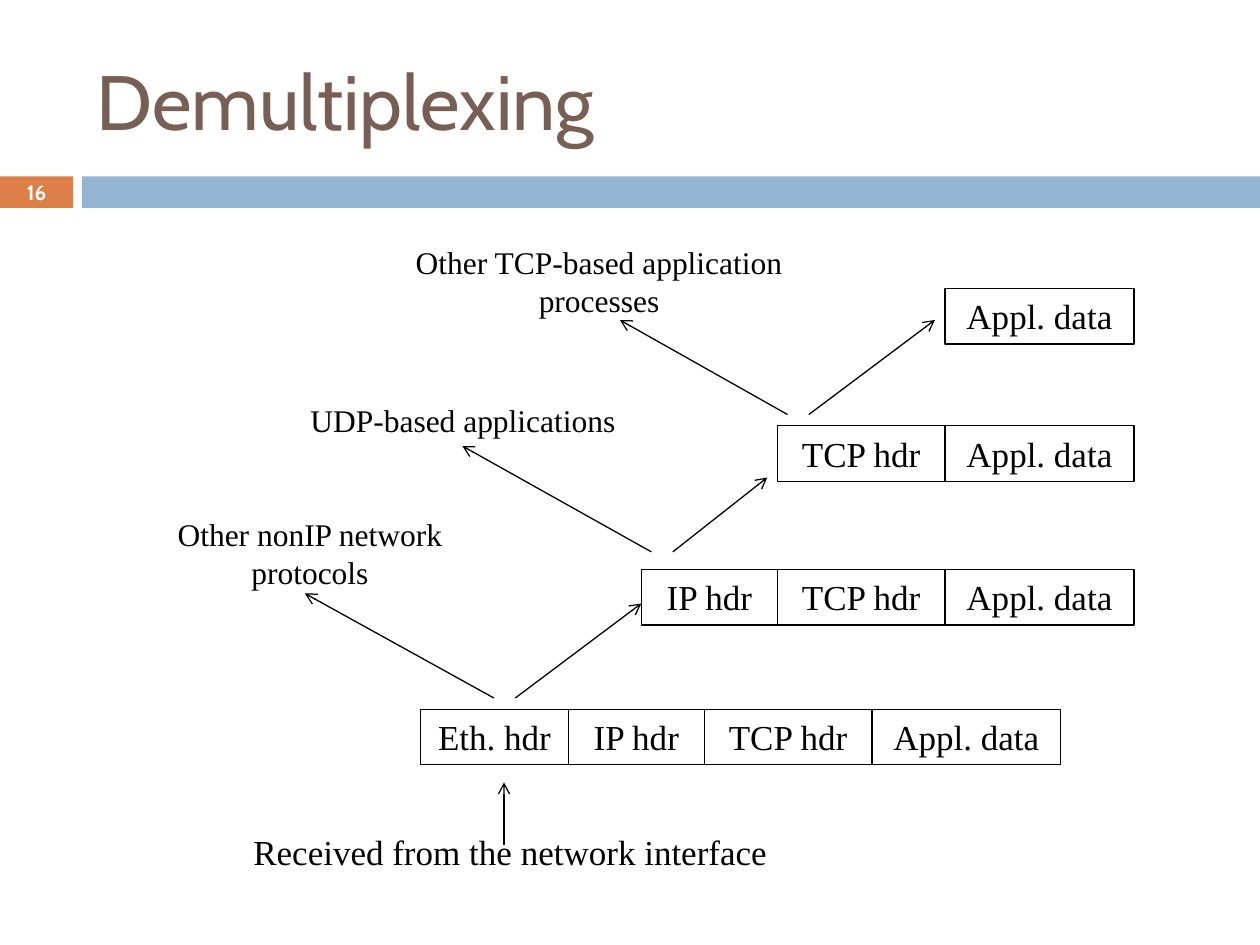
from dataclasses import dataclass

from lxml import etree
from pptx import Presentation
from pptx import util as u
from pptx.dml.color import RGBColor
from pptx.enum import shapes, text
from pptx.oxml import ns


@dataclass(frozen=True)
class Theme:
    ink: str = "000000"
    heading: str = "775F55"
    accent: str = "DD8047"
    band: str = "94B6D2"
    light: str = "FFFFFF"
    heading_font: str = "Cabin"
    body_font: str = "Times New Roman"
    title_size: float = 44
    header_size: float = 20
    label_size: float = 18
    number_size: float = 11.9
    line_width: float = 0.75


def apply(target, values):
    for name, value in values.items():
        setattr(target, name, value)


class SlideBuilder:
    def __init__(self, slide, theme):
        self.slide = slide
        self.theme = theme

    def set_text(self, shape, words, size, font=None, color=None, bold=False,
                 align=text.PP_ALIGN.CENTER, anchor=text.MSO_ANCHOR.TOP):
        frame = shape.text_frame
        apply(frame, {"word_wrap": True, "vertical_anchor": anchor})
        paragraph = frame.paragraphs[0]
        paragraph.alignment = align
        run = paragraph.add_run()
        run.text = words
        apply(run.font, {"size": u.Pt(size), "bold": bold,
                         "name": font or self.theme.body_font})
        run.font.color.rgb = RGBColor.from_string(color or self.theme.ink)

    def label(self, words, box, size, **style):
        caption = self.slide.shapes.add_textbox(*map(u.Inches, box))
        self.set_text(caption, words, size, **style)

    def rectangle(self, box):
        shape = self.slide.shapes.add_shape(
            shapes.MSO_SHAPE.RECTANGLE, *map(u.Inches, box))
        shape.shadow.inherit = False
        return shape

    def bar(self, box, color):
        strip = self.rectangle(box)
        strip.fill.solid()
        strip.fill.fore_color.rgb = RGBColor.from_string(color)
        strip.line.fill.background()

    def outline(self, line):
        line.color.rgb = RGBColor.from_string(self.theme.ink)
        line.width = u.Pt(self.theme.line_width)

    def packet(self, right, top, fields, widths, height=0.44):
        for field in reversed(fields):
            right -= widths[field]
            cell = self.rectangle((right, top, widths[field], height))
            cell.fill.background()
            self.outline(cell.line)
            self.set_text(cell, field, self.theme.header_size)

    def arrow(self, start, end):
        connector = self.slide.shapes.add_connector(
            shapes.MSO_CONNECTOR.STRAIGHT, *map(u.Inches, (*start, *end)))
        self.outline(connector.line)
        properties = connector._element.spPr
        tip = etree.SubElement(properties.find(ns.qn("a:ln")), ns.qn("a:tailEnd"))
        tip.set("type", "arrow")
        etree.SubElement(properties, ns.qn("a:effectLst"))


def main():
    deck = Presentation()
    apply(deck, {"slide_width": u.Inches(10), "slide_height": u.Inches(7.5)})
    theme = Theme()
    page = SlideBuilder(deck.slides.add_slide(deck.slide_layouts[6]), theme)

    page.bar((0, 1.4, 0.58, 0.25), theme.accent)
    page.bar((0.65, 1.4, 9.35, 0.25), theme.band)
    heading = {"font": theme.heading_font, "anchor": text.MSO_ANCHOR.MIDDLE}
    page.label("Demultiplexing", (0.67, 0.25, 8.92, 1.08), theme.title_size,
               color=theme.heading, align=text.PP_ALIGN.LEFT, **heading)
    page.label("16", (0, 1.39, 0.58, 0.27), theme.number_size,
               color=theme.light, bold=True, **heading)

    widths = {"Eth. hdr": 1.17, "IP hdr": 1.08, "TCP hdr": 1.33, "Appl. data": 1.5}
    fields = list(widths)
    packets = [(9, 2.29), (9, 3.38), (9, 4.52), (8.42, 5.63)]
    for depth, (right, top) in enumerate(packets, start=1):
        page.packet(right, top, fields[-depth:], widths)

    arrows = [
        ((4, 6.71), (4, 6.21)),
        ((3.92, 5.54), (2.42, 4.71)),
        ((4.09, 5.54), (5.09, 4.79)),
        ((5.17, 4.38), (3.67, 3.54)),
        ((5.34, 4.38), (6.09, 3.79)),
        ((6.25, 3.29), (4.92, 2.54)),
        ((6.42, 3.29), (7.42, 2.54)),
    ]
    for start, end in arrows:
        page.arrow(start, end)

    page.label("Received from the network interface",
               (1.59, 6.54, 4.92, 0.43), theme.header_size)
    other_receivers = {
        "Other nonIP network protocols": (1.17, 4.04, 2.58, 0.7),
        "UDP-based applications": (2.09, 3.13, 3.17, 0.4),
        "Other TCP-based application processes": (3.17, 1.88, 3.17, 0.7),
    }
    for words, box in other_receivers.items():
        page.label(words, box, theme.label_size)

    deck.save("out.pptx")


if __name__ == "__main__":
    main()
